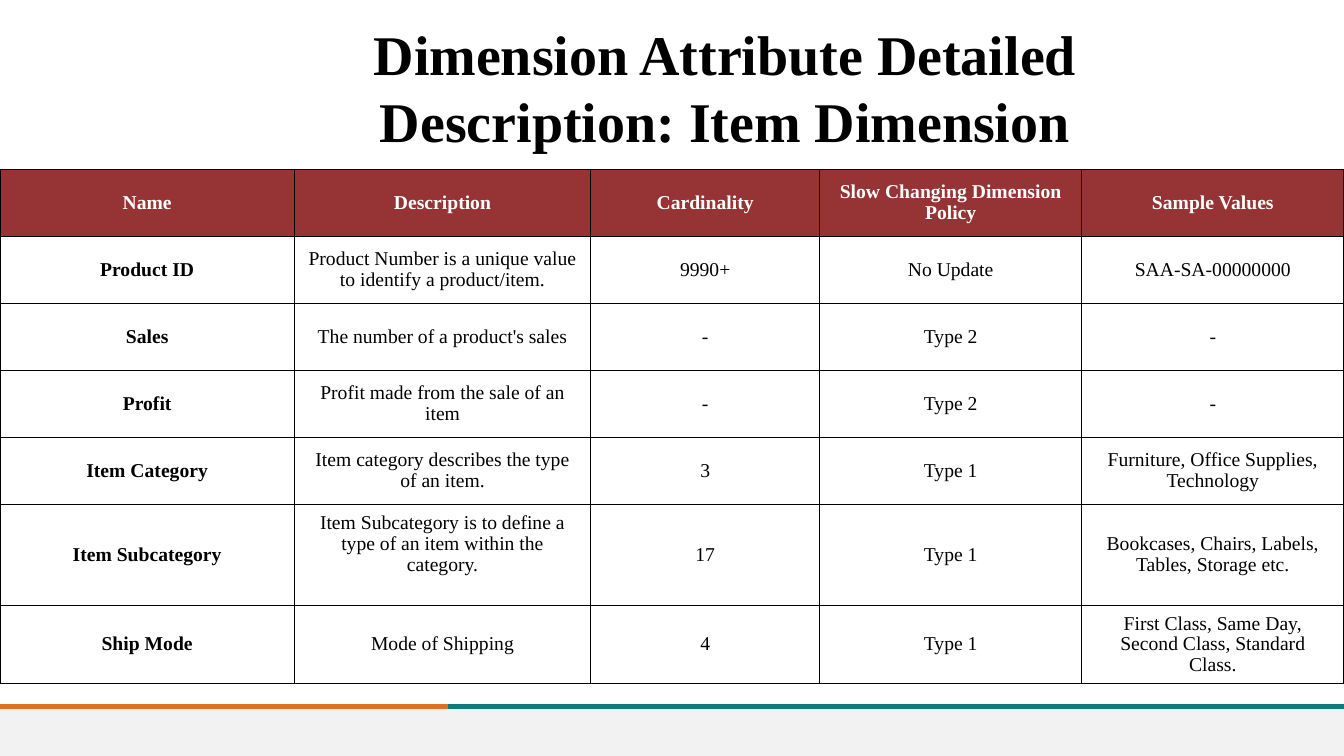
from dataclasses import dataclass

from lxml.etree import SubElement
from pptx import Presentation
from pptx.dml.color import RGBColor
from pptx.enum.shapes import MSO_CONNECTOR as Connector, MSO_SHAPE as Shape
from pptx.enum.text import MSO_ANCHOR as Anchor, PP_ALIGN as Align
from pptx.oxml.ns import qn
from pptx.util import Inches, Pt


@dataclass(frozen=True)
class Theme:
    font: str = "Times New Roman"
    title_size: int = 40
    cell_size: int = 14
    ink: str = "000000"
    paper: str = "FFFFFF"
    header: str = "963334"
    footer: str = "F2F2F2"
    orange: str = "DF7023"
    teal: str = "0F787D"


THEME = Theme()
WIDTH, HEIGHT = Inches(13.33), Inches(7.5)
FOOTER_TOP = Inches(7.01)

# Table grid: column widths in inches, row heights in points
COLUMNS = [2.92, 2.94, 2.27, 2.6, 2.6]
ROWS = [47.9] * 5 + [72, 56]
LINE_SPACING = 0.95
MARGIN_X, MARGIN_Y = Inches(0.13), Inches(0.07)

CELLS = [
    ["Name", "Description", "Cardinality", "Slow Changing Dimension Policy", "Sample Values"],
    ["Product ID", "Product Number is a unique value to identify a product/item.",
     "9990+", "No Update", "SAA-SA-00000000"],
    ["Sales", "The number of a product's sales", "-", "Type 2", "-"],
    ["Profit", "Profit made from the sale of an item", "-", "Type 2", "-"],
    ["Item Category", "Item category describes the type of an item.",
     "3", "Type 1", "Furniture, Office Supplies, Technology"],
    ["Item Subcategory", "Item Subcategory is to define a type of an item within the category.",
     "17", "Type 1", "Bookcases, Chairs, Labels, Tables, Storage etc."],
    ["Ship Mode", "Mode of Shipping",
     "4", "Type 1", "First Class, Same Day, Second Class, Standard Class."],
]


def color(value):
    return RGBColor.from_string(value)


def write(frame, text, size, ink=THEME.ink, bold=False, spacing=None):
    """Write one centred paragraph into a text frame."""
    frame.word_wrap = True
    para = frame.paragraphs[0]
    para.alignment = Align.CENTER
    para.line_spacing = spacing
    span = para.add_run()
    span.text = text
    span.font.name = THEME.font
    span.font.size = Pt(size)
    span.font.bold = bold
    span.font.color.rgb = color(ink)


def add_title(page, text):
    title = page.shapes.title
    title.left, title.top = Inches(2.48), Inches(0.12)
    title.width, title.height = Inches(9.42), Inches(1.38)
    frame = title.text_frame
    frame.vertical_anchor = Anchor.TOP
    frame.margin_top = Inches(0.07)
    write(frame, text, THEME.title_size, bold=True, spacing=Pt(48))


def add_rule(page, start, end, ink):
    rule = page.shapes.add_connector(Connector.STRAIGHT, start, FOOTER_TOP, end, FOOTER_TOP)
    rule.line.color.rgb = color(ink)
    rule.line.width = Pt(4)
    SubElement(rule.element.spPr, qn("a:effectLst"))


def add_footer(page):
    band = page.shapes.add_shape(Shape.RECTANGLE, 0, FOOTER_TOP, WIDTH, HEIGHT - FOOTER_TOP)
    band.shadow.inherit = False
    band.fill.solid()
    band.fill.fore_color.rgb = color(THEME.footer)
    band.line.fill.background()
    third = WIDTH // 3
    add_rule(page, 0, third, THEME.orange)
    add_rule(page, third, WIDTH, THEME.teal)


def set_borders(cell):
    properties = cell._tc.get_or_add_tcPr()
    for side in ("lnL", "lnR", "lnT", "lnB"):
        border = SubElement(properties, qn(f"a:{side}"), w=str(Pt(1)))
        fill = SubElement(border, qn("a:solidFill"))
        SubElement(fill, qn("a:srgbClr"), val=THEME.ink)


def format_cell(cell, text, is_header, is_label):
    set_borders(cell)
    cell.vertical_anchor = Anchor.MIDDLE
    cell.margin_left = cell.margin_right = MARGIN_X
    cell.margin_top = cell.margin_bottom = MARGIN_Y
    if is_header:
        cell.fill.solid()
        cell.fill.fore_color.rgb = color(THEME.header)
    else:
        cell.fill.background()
    write(cell.text_frame, text, THEME.cell_size, bold=is_header or is_label,
          ink=THEME.paper if is_header else THEME.ink, spacing=LINE_SPACING)


def add_attribute_table(page):
    table = page.shapes.add_table(len(ROWS), len(COLUMNS), 0, Inches(1.68),
                                  WIDTH, Pt(sum(ROWS))).table
    table.horz_banding = False
    for column, width in zip(table.columns, COLUMNS):
        column.width = Inches(width)
    for row, height in zip(table.rows, ROWS):
        row.height = Pt(height)
    for r, texts in enumerate(CELLS):
        for c, text in enumerate(texts):
            format_cell(table.cell(r, c), text, is_header=r == 0, is_label=c == 0)
    # The subcategory description sits one line higher in its row
    table.cell(5, 1).margin_bottom = MARGIN_Y + Inches(0.21)


def main():
    deck = Presentation()
    deck.slide_width, deck.slide_height = WIDTH, HEIGHT
    page = deck.slides.add_slide(deck.slide_layouts[5])
    page.background.fill.solid()
    page.background.fill.fore_color.rgb = color(THEME.paper)
    add_footer(page)
    add_attribute_table(page)
    add_title(page, "Dimension Attribute Detailed Description: Item Dimension")
    deck.save("out.pptx")


if __name__ == "__main__":
    main()
